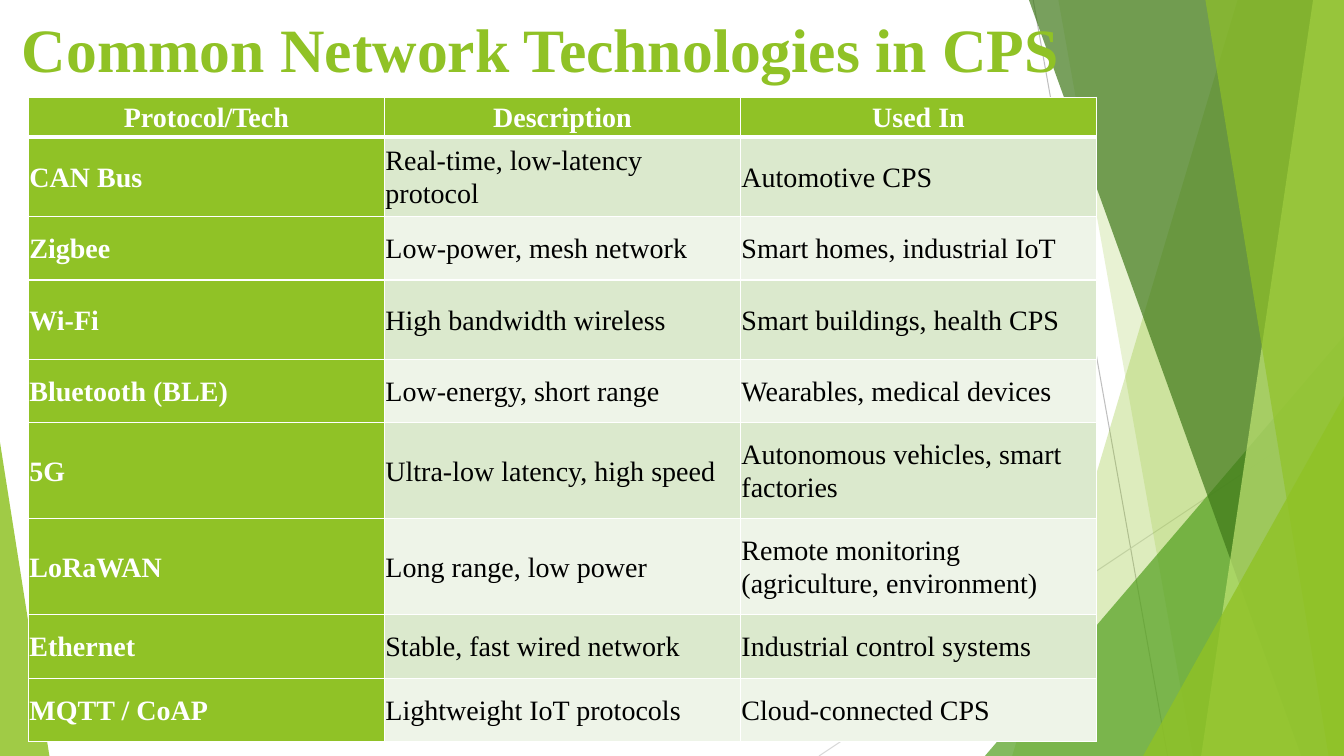
import pptx
import pptx.dml.color
import pptx.enum.shapes
import pptx.enum.text
import pptx.oxml
import pptx.oxml.ns
import pptx.util

Pt = pptx.util.Pt
WIDE, HIGH = 960, 540
LIME, WHITE, BLACK = "90C226", "FFFFFF", "000000"
BANDS = ("DBE9CD", "EEF4E8")
LEFT = pptx.enum.text.PP_ALIGN.LEFT
MID = pptx.enum.text.PP_ALIGN.CENTER

# Table content, with the height of each row
ROWS = [
    (28.4, "Protocol/Tech", "Description", "Used In"),
    (56.7, "CAN Bus", "Real-time, low-latency protocol", "Automotive CPS"),
    (45.4, "Zigbee", "Low-power, mesh network", "Smart homes, industrial IoT"),
    (56.7, "Wi-Fi", "High bandwidth wireless", "Smart buildings, health CPS"),
    (45.4, "Bluetooth (BLE)", "Low-energy, short range", "Wearables, medical devices"),
    (68.5, "5G", "Ultra-low latency, high speed", "Autonomous vehicles, smart factories"),
    (68.5, "LoRaWAN", "Long range, low power", "Remote monitoring (agriculture, environment)"),
    (45.4, "Ethernet", "Stable, fast wired network", "Industrial control systems"),
    (45.4, "MQTT / CoAP", "Lightweight IoT protocols", "Cloud-connected CPS"),
]


def color(code):
    return pptx.dml.color.RGBColor.from_string(code)


def paint(shape, code, alpha):
    """Fill a shape with a see-through colour and no outline."""
    shape.shadow.inherit = False
    shape.line.fill.background()
    shape.fill.solid()
    shape.fill.fore_color.rgb = color(code)
    tint = shape.fill._xPr.find(".//" + pptx.oxml.ns.qn("a:srgbClr"))
    tint.append(pptx.oxml.parse_xml(
        f'<a:alpha {pptx.oxml.ns.nsdecls("a")} val="{alpha * 1000}"/>'))


def facet(slide, top, base, code, alpha):
    """Draw a pane from a slanted left edge to the slide's right edge."""
    pen = slide.shapes.build_freeform(Pt(top), 0)
    pen.add_line_segments(
        [(Pt(WIDE), 0), (Pt(WIDE), Pt(HIGH)), (Pt(base), Pt(HIGH))])
    paint(pen.convert_to_shape(), code, alpha)


def wedge(slide, left, width, height, apex, code, alpha):
    """Draw a right triangle standing on the slide's bottom edge."""
    kind = pptx.enum.shapes.MSO_SHAPE.ISOSCELES_TRIANGLE
    shape = slide.shapes.add_shape(
        kind, Pt(left), Pt(HIGH - height), Pt(width), Pt(height))
    shape.adjustments[0] = apex
    paint(shape, code, alpha)


def stroke(slide, start, end, code):
    kind = pptx.enum.shapes.MSO_CONNECTOR.STRAIGHT
    line = slide.shapes.add_connector(kind, *map(Pt, start + end))
    line.line.color.rgb = color(code)
    line.line.width = Pt(0.75)
    line._element.spPr.append(pptx.oxml.parse_xml(
        f'<a:effectLst {pptx.oxml.ns.nsdecls("a")}/>'))


def write(frame, text, size=20, code=BLACK, bold=False, align=LEFT, space=1.0):
    para = frame.paragraphs[0]
    para.alignment = align
    para.line_spacing = space
    run = para.add_run()
    run.text = text
    run.font.name = "Times New Roman"
    run.font.size = Pt(size)
    run.font.bold = bold
    run.font.color.rgb = color(code)


def title(slide, text):
    box = slide.shapes.add_textbox(Pt(8.6), 0, Pt(795), Pt(69))
    frame = box.text_frame
    frame.word_wrap = True
    frame.vertical_anchor = pptx.enum.text.MSO_ANCHOR.MIDDLE
    write(frame, text, size=44, code=LIME, bold=True)


def border(cell, side, width):
    cell._tc.get_or_add_tcPr().append(pptx.oxml.parse_xml(
        f'<a:ln{side} {pptx.oxml.ns.nsdecls("a")} w="{Pt(width)}">'
        f'<a:solidFill><a:srgbClr val="{WHITE}"/></a:solidFill></a:ln{side}>'))


def fill_cell(cell, text, row, col):
    head = row == 0
    strong = head or col == 0
    cell.margin_left = cell.margin_right = Pt(0.7)
    cell.margin_top = cell.margin_bottom = Pt(0.7)
    cell.vertical_anchor = pptx.enum.text.MSO_ANCHOR.MIDDLE
    for side in "LRTB":
        thick = (head and side == "B") or (row == 1 and side == "T")
        border(cell, side, 3 if thick else 1)
    cell.fill.solid()
    cell.fill.fore_color.rgb = color(LIME if strong else BANDS[(row - 1) % 2])
    write(cell.text_frame, text, code=WHITE if strong else BLACK,
          bold=strong, align=MID if head else LEFT, space=1.07)


def grid(slide):
    cols = len(ROWS[0]) - 1
    high = sum(row[0] for row in ROWS)
    table = slide.shapes.add_table(
        len(ROWS), cols, Pt(20.3), Pt(69.5), Pt(763), Pt(high)).table
    table.horz_banding = False
    table.first_col = True
    for col in table.columns:
        col.width = Pt(763 / cols)
    for row, (tall, *texts) in enumerate(ROWS):
        table.rows[row].height = Pt(tall)
        for col, text in enumerate(texts):
            fill_cell(table.cell(row, col), text, row, col)


def main():
    deck = pptx.Presentation()
    deck.slide_width, deck.slide_height = Pt(WIDE), Pt(HIGH)
    slide = deck.slides.add_slide(deck.slide_layouts[6])

    # Backdrop of thin lines and green panes
    stroke(slide, (738, 0), (834, HIGH), "BFBFBF")
    stroke(slide, (WIDE, 290), (585, HIGH), "D9D9D9")
    facet(slide, 884, 723, LIME, 30)
    facet(slide, 756, 852, LIME, 20)
    wedge(slide, 703.5, 256.5, 300, 1, "54A021", 72)
    facet(slide, 735, 929.5, "3F7819", 70)
    facet(slide, 938, 858, "C0E474", 70)
    facet(slide, 861, 949, LIME, 65)
    wedge(slide, 816.5, 143.5, 257, 1, LIME, 80)
    wedge(slide, 0, 35.3, 224, 0, LIME, 85)

    # Heading and table
    title(slide, "Common Network Technologies in CPS")
    grid(slide)
    deck.save("out.pptx")


if __name__ == "__main__":
    main()
